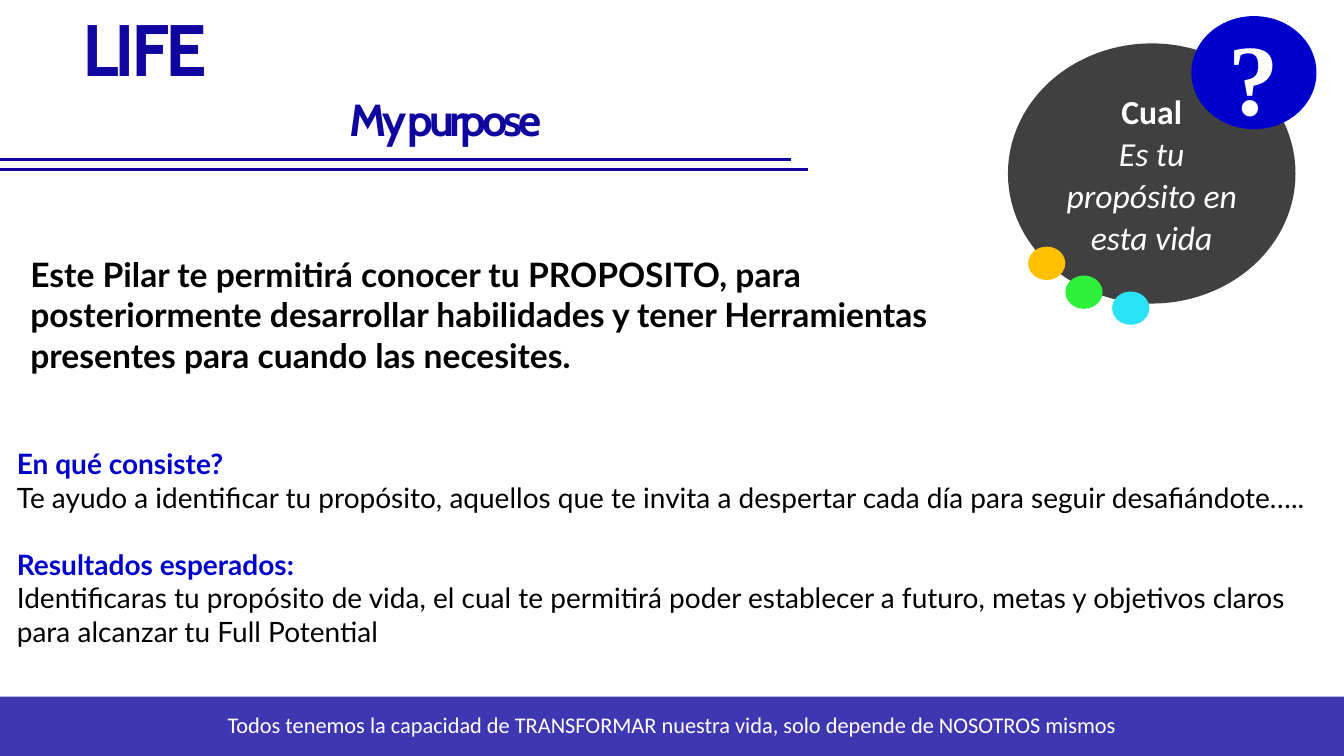
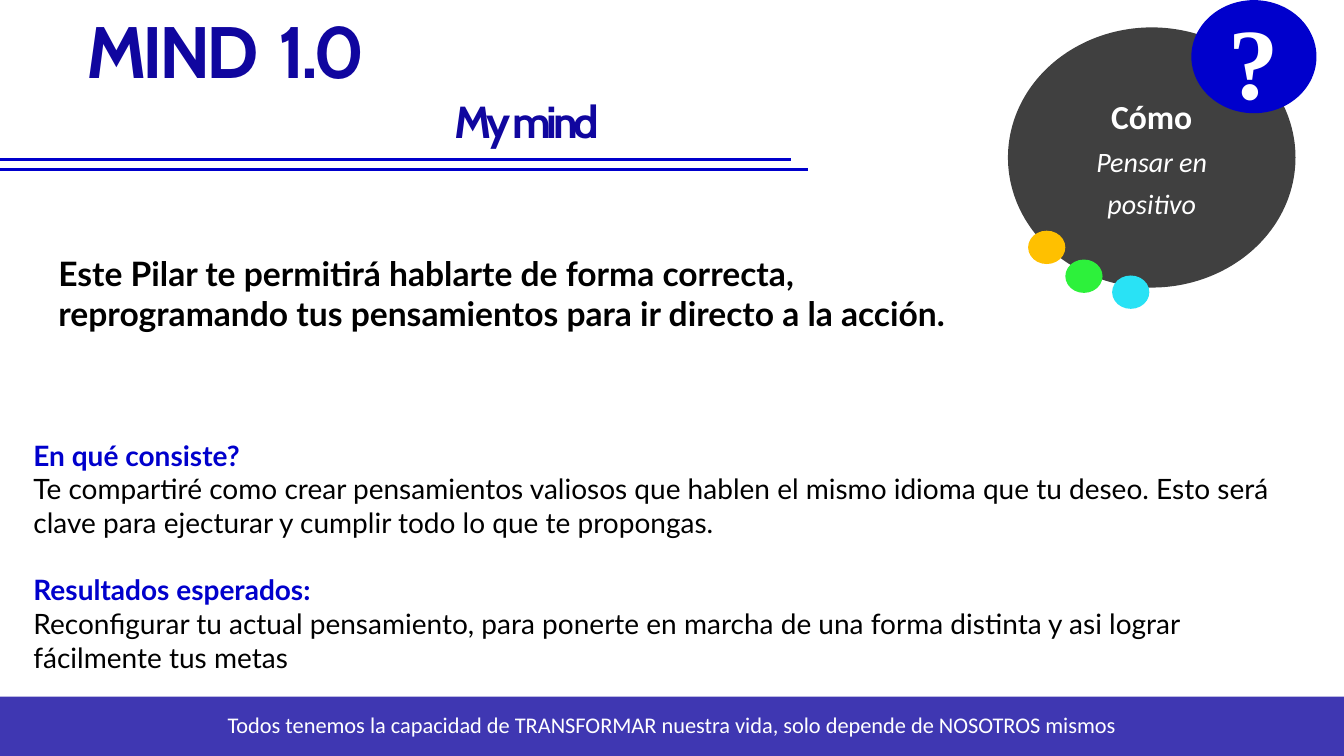
from lxml import etree
from pptx import Presentation
from pptx.dml.color import RGBColor
from pptx.enum.shapes import MSO_CONNECTOR, MSO_SHAPE
from pptx.enum.text import MSO_ANCHOR, PP_ALIGN
from pptx.oxml.ns import qn
from pptx.util import Pt

RECTANGLE, ELLIPSE = MSO_SHAPE.RECTANGLE, MSO_SHAPE.OVAL
STRAIGHT = MSO_CONNECTOR.STRAIGHT
TOP, MIDDLE = MSO_ANCHOR.TOP, MSO_ANCHOR.MIDDLE
LEFT, CENTER = PP_ALIGN.LEFT, PP_ALIGN.CENTER

SLIDE_WIDTH, SLIDE_HEIGHT = 960, 540
FOOTER_HEIGHT = 42.5
DEFAULT_INSETS = (7.2, 3.6, 7.2, 3.6)
NO_INSETS = (0, 0, 0, 0)

COLORS = {
    "navy": "10069F",
    "blue": "0000CC",
    "charcoal": "404040",
    "amber": "FFC000",
    "green": "2DF13B",
    "cyan": "29E2F5",
    "white": "FFFFFF",
    "black": "000000",
}

STYLES = {
    "title": {"name": "Cabin", "size": Pt(52), "bold": True, "color": "navy", "tracking": -3},
    "subtitle": {"name": "Cabin", "size": Pt(32), "bold": True, "color": "navy", "tracking": -3},
    "intro": {"name": "Lato", "size": Pt(24), "bold": True, "color": "black"},
    "heading": {"name": "Lato", "size": Pt(20), "bold": True, "color": "blue"},
    "body": {"name": "Lato", "size": Pt(20), "bold": False, "color": "black"},
    "question": {"name": "Calibri", "size": Pt(24), "bold": True, "color": "white"},
    "answer": {"name": "Calibri", "size": Pt(24), "italic": True, "color": "white"},
    "small answer": {"name": "Calibri", "size": Pt(20), "italic": True, "color": "white"},
    "mark": {"name": "Times New Roman", "size": Pt(72), "bold": True, "color": "white",
             "tracking": -1.5},
    "footer": {"name": "Calibri", "size": Pt(16), "color": "white"},
}

FOOTER = "Todos tenemos la capacidad de TRANSFORMAR nuestra vida, solo depende de NOSOTROS mismos"
HEADINGS = ("En qué consiste?", "Resultados esperados:")

PILLARS = [
    {
        "title": "LIFE", "title_at": (59, 19.5),
        "subtitle": "My purpose", "subtitle_left": 250,
        "rule_color": "navy",
        "question": "Cual", "answer": "Es tu propósito en esta vida",
        "answer_style": "answer", "bubble_top": 31,
        "intro": "Este Pilar te permitirá conocer tu PROPOSITO, para posteriormente "
                 "desarrollar habilidades y tener Herramientas presentes para cuando "
                 "las necesites.",
        "intro_box": (14.6, 177.8, 708, 100),
        "details": (
            "Te ayudo a identificar tu propósito, aquellos que te invita a despertar "
            "cada día para seguir desafiándote…..",
            "Identificaras tu propósito de vida, el cual te permitirá poder establecer "
            "a futuro, metas y objetivos claros para alcanzar tu Full Potential",
        ),
        "details_box": (5, 315.4, 955, 153),
    },
    {
        "title": "MIND  1.0", "title_at": (62, 20.9),
        "subtitle": "My mind", "subtitle_left": 324.5,
        "rule_color": "blue",
        "question": "Cómo", "answer": "Pensar en positivo",
        "answer_style": "small answer", "bubble_top": 19.6,
        "intro": "Este Pilar te permitirá hablarte de forma correcta, reprogramando tus "
                 "pensamientos para ir directo a la acción.",
        "intro_box": (34.6, 177.1, 655, 94),
        "details": (
            "Te compartiré como crear pensamientos valiosos que hablen el mismo idioma "
            "que tu deseo. Esto será clave para ejecturar y cumplir todo lo que te "
            "propongas.",
            "Reconfigurar tu actual pensamiento, para ponerte en marcha de una forma "
            "distinta y asi lograr fácilmente tus metas",
        ),
        "details_box": (16.8, 309.6, 909, 177),
    },
]


def rgb(color):
    return RGBColor.from_string(COLORS[color])


def style_run(run, style):
    for attribute, value in STYLES[style].items():
        if attribute == "color":
            run.font.color.rgb = rgb(value)
        elif attribute == "tracking":
            run._r.get_or_add_rPr().set("spc", str(round(value * 100)))
        else:
            setattr(run.font, attribute, value)


def write(shape, lines, align=LEFT, anchor=TOP, insets=DEFAULT_INSETS, spacing=1.0, wrap=True):
    """Fill a shape with paragraphs given as (text, style, space before)."""
    frame = shape.text_frame
    frame.word_wrap = wrap
    frame.vertical_anchor = anchor
    for side, inset in zip(("left", "top", "right", "bottom"), insets):
        setattr(frame, f"margin_{side}", Pt(inset))
    for index, (text, style, space_before) in enumerate(lines):
        paragraph = frame.add_paragraph() if index else frame.paragraphs[0]
        paragraph.alignment = align
        paragraph.line_spacing = spacing
        paragraph.space_before = Pt(space_before)
        run = paragraph.add_run()
        run.text = text
        style_run(run, style)


def add_text(slide, box, lines, **layout):
    write(slide.shapes.add_textbox(*map(Pt, box)), lines, **layout)


def add_filled(slide, preset, box, color):
    shape = slide.shapes.add_shape(preset, *map(Pt, box))
    shape.shadow.inherit = False
    shape.fill.solid()
    shape.fill.fore_color.rgb = rgb(color)
    shape.line.fill.background()
    return shape


def add_rule(slide, y, length, color):
    rule = slide.shapes.add_connector(STRAIGHT, Pt(0), Pt(y), Pt(length), Pt(y))
    rule.line.color.rgb = rgb(color)
    rule.line.width = Pt(2.25)
    etree.SubElement(rule._element.spPr, qn("a:effectLst"))


def add_header(slide, pillar):
    left, top = pillar["title_at"]
    line_layout = {"insets": NO_INSETS, "spacing": 0.7, "wrap": False}
    add_text(slide, (left, top, 260, 46), [(pillar["title"], "title", 0)], **line_layout)
    add_text(slide, (pillar["subtitle_left"], top + 56.3, 200, 30),
             [(pillar["subtitle"], "subtitle", 0)], **line_layout)
    for y, length in ((114.2, 565), (121.2, 577)):
        add_rule(slide, y, length, pillar["rule_color"])


def add_question_bubble(slide, pillar):
    top = pillar["bubble_top"]
    bubble = add_filled(slide, ELLIPSE, (720, top, 205.4, 185.8), "charcoal")
    write(bubble, [(pillar["question"], "question", 0),
                   (pillar["answer"], pillar["answer_style"], 0)],
          align=CENTER, anchor=MIDDLE, spacing=Pt(30))
    add_filled(slide, ELLIPSE, (851, top - 19.5, 89.4, 80.8), "blue")
    add_text(slide, (851.8, top - 11, 87, 79), [("?", "mark", 0)],
             align=CENTER, insets=NO_INSETS, spacing=0.9)
    for left, drop, color in ((734.4, 145.2, "amber"), (761, 165.8, "green"),
                              (794.4, 177.2, "cyan")):
        add_filled(slide, ELLIPSE, (left, top + drop, 26.6, 23.8), color)


def add_details(slide, pillar):
    lines = []
    for heading, detail in zip(HEADINGS, pillar["details"]):
        lines += [(heading, "heading", 24 if lines else 0), (detail, "body", 0)]
    add_text(slide, pillar["details_box"], lines)


def add_footer(slide):
    band = add_filled(slide, RECTANGLE, (0, SLIDE_HEIGHT - FOOTER_HEIGHT, SLIDE_WIDTH,
                                         FOOTER_HEIGHT), "navy")
    fill_color = band._element.spPr.find(qn("a:solidFill"))[0]
    etree.SubElement(fill_color, qn("a:alpha"), val="80000")
    write(band, [(FOOTER, "footer", 0)], align=CENTER, anchor=MIDDLE,
          insets=(14.4,) * 4, spacing=0.9)


def main():
    deck = Presentation()
    deck.slide_width, deck.slide_height = Pt(SLIDE_WIDTH), Pt(SLIDE_HEIGHT)
    blank = deck.slide_layouts[6]
    for pillar in PILLARS:
        slide = deck.slides.add_slide(blank)
        add_header(slide, pillar)
        add_question_bubble(slide, pillar)
        add_text(slide, pillar["intro_box"], [(pillar["intro"], "intro", 0)])
        add_details(slide, pillar)
        add_footer(slide)
    deck.save("out.pptx")


if __name__ == "__main__":
    main()
